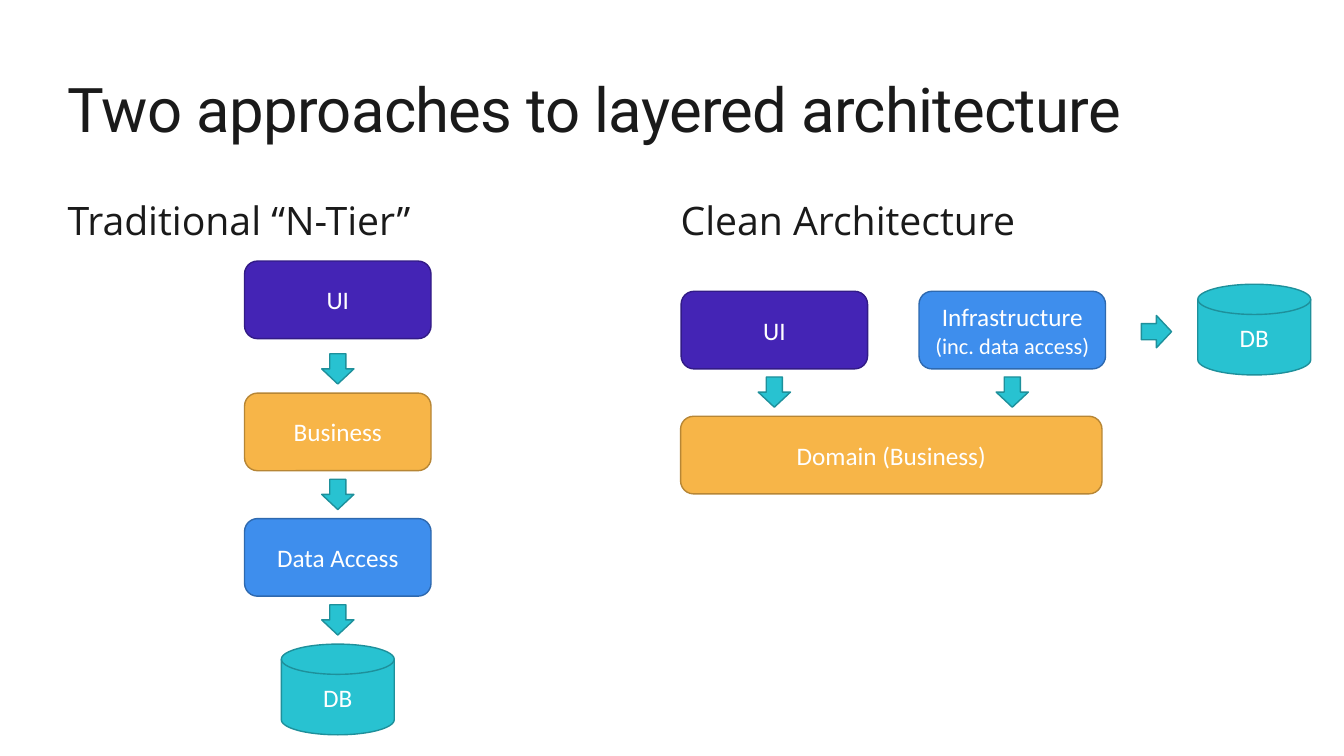
from dataclasses import dataclass

from pptx import Presentation
from pptx import util as u
from pptx.dml.color import RGBColor
from pptx.enum import shapes, text

TITLE = "Two approaches to layered architecture"
HEADINGS = [("Traditional “N-Tier”", 0.67), ("Clean Architecture", 6.75)]

# Column centres and row tops, in inches
COLUMNS = {"tiers": 3.35, "ui": 7.68, "domain": 8.84, "infra": 10.04, "db": 12.44}
TIER_ROWS = [2.59] + [3.9 + 1.245 * step for step in range(3)]
CLEAN_ROWS = [2.89, 4.13]
DB_ROW = 2.82

# Lines of text, kind, column, top
LAYERS = [
    (["UI"], "ui", "tiers", TIER_ROWS[0]),
    (["Business"], "business", "tiers", TIER_ROWS[1]),
    (["Data Access"], "data", "tiers", TIER_ROWS[2]),
    (["DB"], "db", "tiers", TIER_ROWS[3]),
    (["UI"], "ui", "ui", CLEAN_ROWS[0]),
    (["Domain (Business)"], "domain", "domain", CLEAN_ROWS[1]),
    (["Infrastructure", "(inc. data access)"], "data", "infra", CLEAN_ROWS[0]),
    (["DB"], "db", "db", DB_ROW),
]
# Column and top of the layer that each arrow points down to
DEPENDENCIES = [("tiers", top) for top in TIER_ROWS[1:]]
DEPENDENCIES += [(column, CLEAN_ROWS[1]) for column in ("ui", "infra")]

BOX, WIDE_BOX, DISK, ARROW = (1.85, 0.77), (4.18, 0.77), (1.12, 0.9), (0.32, 0.3)
ARROW_GAP = 0.09
DB_ARROW_CENTRE = (11.47, 3.29)


@dataclass
class Theme:
    ink = "1A1A1A"
    label = "FFFFFF"
    purple = ("4424B5", "321B86")
    orange = ("F7B548", "B78635")
    blue = ("3E8EED", "2E69AF")
    teal = ("28C2D1", "1E909B")
    title_size, heading_size, label_size, detail_size = 44, 28, 18, 16
    title_font, heading_font, label_font = "Roboto", "Open Sans", "Calibri"


PRESETS = shapes.MSO_SHAPE
KINDS = {
    "ui": (PRESETS.ROUNDED_RECTANGLE, BOX, Theme.purple),
    "business": (PRESETS.ROUNDED_RECTANGLE, BOX, Theme.orange),
    "domain": (PRESETS.ROUNDED_RECTANGLE, WIDE_BOX, Theme.orange),
    "data": (PRESETS.ROUNDED_RECTANGLE, BOX, Theme.blue),
    "db": (PRESETS.FLOWCHART_MAGNETIC_DISK, DISK, Theme.teal),
    "arrow": (PRESETS.DOWN_ARROW, ARROW, Theme.teal),
}


def style_run(run, size, font, color):
    run.font.size = u.Pt(size)
    run.font.name = font
    run.font.color.rgb = RGBColor.from_string(color)


def fill_heading(frame, words, size, font, anchor):
    frame.text = words
    frame.word_wrap = True
    frame.auto_size = text.MSO_AUTO_SIZE.NONE
    frame.vertical_anchor = anchor
    frame.margin_left = frame.margin_right = frame.margin_top = frame.margin_bottom = 0
    paragraph = frame.paragraphs[0]
    paragraph.alignment = text.PP_ALIGN.LEFT
    paragraph.line_spacing = 0.9
    style_run(paragraph.runs[0], size, font, Theme.ink)


def add_part(slide, kind, centre, top):
    """Add a shape of the given kind, centred across on a column."""
    preset, (width, height), (fill, line) = KINDS[kind]
    part = slide.shapes.add_shape(preset, u.Inches(centre - width / 2), u.Inches(top),
                                  u.Inches(width), u.Inches(height))
    part.shadow.inherit = False
    part.fill.solid()
    part.fill.fore_color.rgb = RGBColor.from_string(fill)
    part.line.color.rgb = RGBColor.from_string(line)
    part.line.width = u.Pt(1)
    return part


def add_layer(slide, lines, kind, column, top):
    frame = add_part(slide, kind, COLUMNS[column], top).text_frame
    frame.word_wrap = True
    frame.vertical_anchor = text.MSO_ANCHOR.MIDDLE
    paragraph = frame.paragraphs[0]
    paragraph.text = "\v".join(lines)
    paragraph.alignment = text.PP_ALIGN.CENTER
    for run, size in zip(paragraph.runs, (Theme.label_size, Theme.detail_size)):
        style_run(run, size, Theme.label_font, Theme.label)


def main():
    deck = Presentation()
    deck.slide_width, deck.slide_height = u.Inches(13.33), u.Inches(7.5)
    slide = deck.slides.add_slide(deck.slide_layouts.get_by_name("Title Only"))

    title = slide.shapes.title
    title.left, title.top = u.Inches(0.67), u.Inches(0.67)
    title.width, title.height = u.Inches(12), u.Inches(0.9)
    fill_heading(title.text_frame, TITLE, Theme.title_size, Theme.title_font,
                 text.MSO_ANCHOR.MIDDLE)
    title.text_frame.paragraphs[0].runs[0].font._element.set("spc", "-50")

    for words, left in HEADINGS:
        heading = slide.shapes.add_textbox(u.Inches(left), u.Inches(2),
                                           u.Inches(5.92), u.Inches(0.45))
        fill_heading(heading.text_frame, words, Theme.heading_size, Theme.heading_font,
                     text.MSO_ANCHOR.TOP)

    for layer in LAYERS:
        add_layer(slide, *layer)

    for column, target_top in DEPENDENCIES:
        add_part(slide, "arrow", COLUMNS[column], target_top - ARROW_GAP - ARROW[1])
    centre, middle = DB_ARROW_CENTRE
    add_part(slide, "arrow", centre, middle - ARROW[1] / 2).rotation = 270

    deck.save("out.pptx")


if __name__ == "__main__":
    main()
